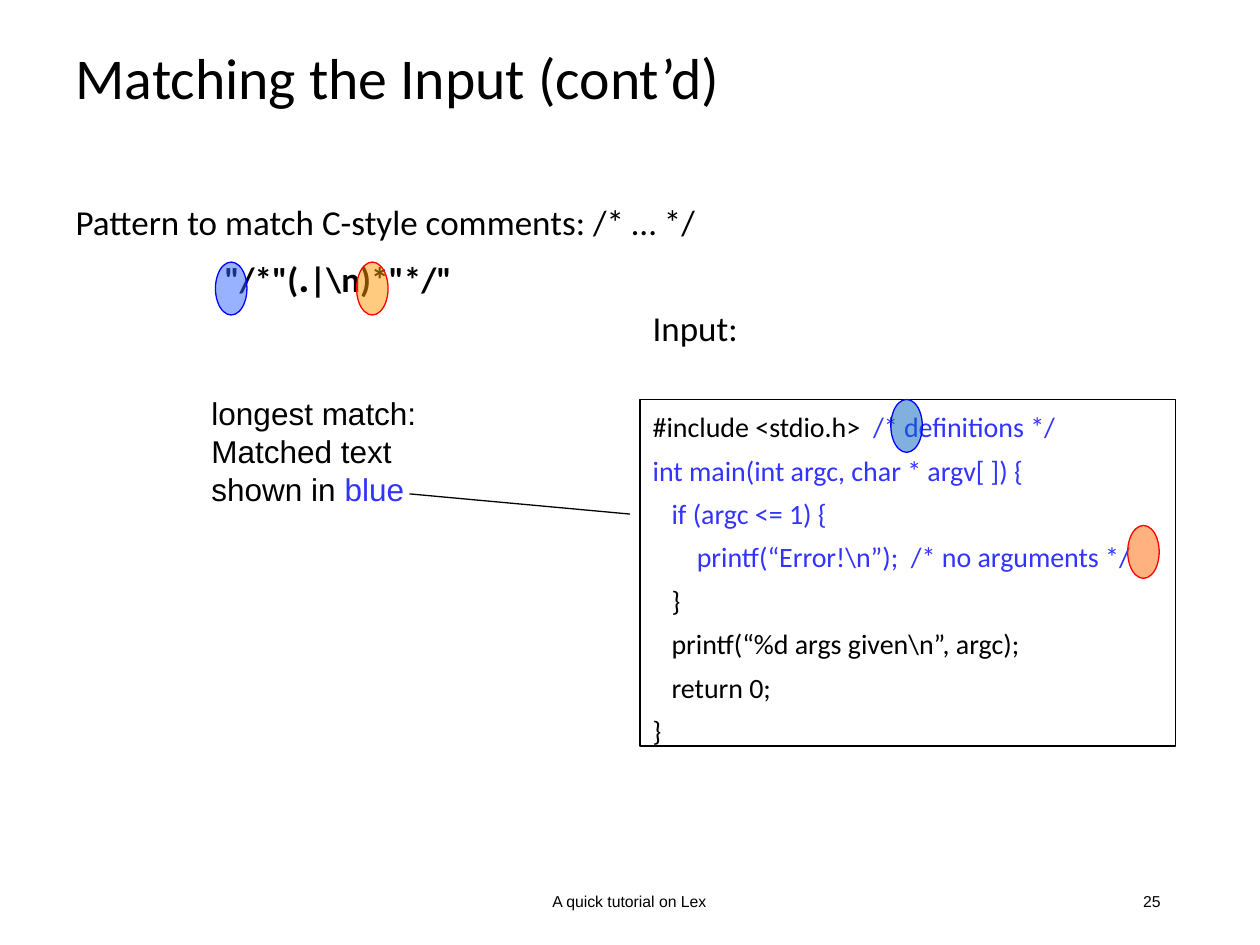
from lxml import etree
from pptx import Presentation
from pptx.dml.color import RGBColor
from pptx.enum import shapes, text
from pptx.oxml.ns import qn
from pptx.util import Inches, Pt

# Content: a line is a list of (text, style) runs
TITLE = "Matching the Input (cont’d)"
HEADING = [("Pattern to match C-style comments: /* … */", "lead")]
PATTERN = [('"/*"(', "regex"), (".", "dot"), ('|\\n)*"*/"', "regex")]
INPUT_LABEL = [("Input:", "lead")]
CODE = [
    [("#include <stdio.h>  ", "code"), ("/* definitions */", "match")],
    [("int main(int argc, char * argv[ ]) {", "match")],
    [("   if (argc <= 1) {", "match")],
    [("       printf(“Error!\\n”);  /* no arguments */", "match")],
    [("   }", "code")],
    [("   printf(“%d args given\\n”, argc);", "code")],
    [("   return 0;", "code")],
    [("}", "code")],
]
CAPTION = [
    [("longest match:", "caption")],
    [("Matched text shown in ", "caption"), ("blue", "caption_match")],
]
FOOTERS = [  # text, left, width, alignment
    ("A quick tutorial on Lex", 3.31, 3.37, text.PP_ALIGN.CENTER),
    ("25", 7.06, 2.25, text.PP_ALIGN.RIGHT),
]
MARKERS = [  # left, top, fill, outline
    (1.71, 2.08, "3366FF", "0000FF"),
    (2.83, 2.08, "FF9900", "FF0000"),
    (7.07, 3.17, "0563C1", "0000FF"),
    (8.95, 4.17, "FF6600", "FF0000"),
]

# Theme: font, size, colour, bold
BLACK, BLUE = "000000", "3333FF"
THEME = {
    "title": ("Calibri", 33, BLACK, False),
    "lead": ("Calibri", 20, BLACK, False),
    "regex": ("Calibri", 20, BLACK, True),
    "dot": ("Calibri", 24, BLACK, True),
    "code": ("Calibri", 16, BLACK, False),
    "match": ("Calibri", 16, BLUE, False),
    "caption": ("Arial", 18, BLACK, False),
    "caption_match": ("Arial", 18, BLUE, False),
    "footer": ("Arial", 9, BLACK, False),
}
LINE_WIDTH = Pt(0.75)
LINE_SPACING = 0.9
GAP, CODE_GAP = 7.5, 37


def place(shape, left, top, width, height):
    shape.left, shape.top = Inches(left), Inches(top)
    shape.width, shape.height = Inches(width), Inches(height)


def style_font(font, style):
    font.name, size, color, font.bold = THEME[style]
    font.size = Pt(size)
    font.color.rgb = RGBColor.from_string(color)


def write(frame, lines, gaps=None, spacing=None, indents=None,
          align=text.PP_ALIGN.LEFT, anchor=text.MSO_ANCHOR.TOP):
    """Fill a frame; gaps are points before a line, indents are (left, first)."""
    frame.word_wrap = True
    frame.auto_size = text.MSO_AUTO_SIZE.NONE
    frame.vertical_anchor = anchor
    for i, line in enumerate(lines):
        paragraph = frame.paragraphs[0] if i == 0 else frame.add_paragraph()
        paragraph.alignment = align
        paragraph.space_before = Pt(gaps[i] if gaps else 0)
        if spacing:
            paragraph.line_spacing = spacing
        if indents:
            left, first = indents[i]
            props = paragraph._p.get_or_add_pPr()
            props.set("marL", str(Inches(left)))
            props.set("indent", str(Inches(first)))
            etree.SubElement(props, qn("a:buNone"))
        style_font(paragraph.font, line[0][1])
        for words, style in line:
            run = paragraph.add_run()
            run.text = words
            if style != line[0][1]:
                style_font(run.font, style)


def outline(shape, color):
    shape.shadow.inherit = False
    shape.line.color.rgb = RGBColor.from_string(color)
    shape.line.width = LINE_WIDTH


prs = Presentation()
prs.slide_width, prs.slide_height = Inches(10), Inches(7.5)
slide = prs.slides.add_slide(prs.slide_layouts[3])
title, pattern_body, input_body = list(slide.placeholders)[:3]
for spare in list(slide.placeholders)[3:]:
    spare._element.getparent().remove(spare._element)

# Title, pattern and input listing
place(title, 0.5, 0.13, 8.25, 1.03)
write(title.text_frame, [[(TITLE, "title")]], spacing=LINE_SPACING,
      anchor=text.MSO_ANCHOR.MIDDLE)

HANGING = (0.19, -0.19)
place(pattern_body, 0.5, 1.58, 5.5, 0.92)
write(pattern_body.text_frame, [HEADING, PATTERN], [0, GAP], LINE_SPACING,
      [HANGING, (1.18, 0)])

place(input_body, 5.08, 2.42, 4.42, 4.29)
write(input_body.text_frame, [INPUT_LABEL] + CODE,
      [0, CODE_GAP] + [GAP] * (len(CODE) - 1), LINE_SPACING,
      [HANGING] * (len(CODE) + 1))

# Footer and page number
for words, left, width, align in FOOTERS:
    footer = slide.shapes.add_textbox(Inches(left), Inches(6.95), Inches(width), Inches(0.4))
    write(footer.text_frame, [[(words, "footer")]], align=align,
          anchor=text.MSO_ANCHOR.MIDDLE)

# Frame around the code
code_frame = slide.shapes.add_shape(
    shapes.MSO_SHAPE.RECTANGLE, Inches(5.08), Inches(3.17), Inches(4.25), Inches(2.75))
code_frame.fill.background()
outline(code_frame, BLACK)

# Half-transparent markers at the start and end of the match
for left, top, fill, edge in MARKERS:
    marker = slide.shapes.add_shape(
        shapes.MSO_SHAPE.OVAL, Inches(left), Inches(top), Inches(0.25), Inches(0.42))
    marker.fill.solid()
    marker.fill.fore_color.rgb = RGBColor.from_string(fill)
    color = marker._element.spPr.find(qn("a:solidFill")).find(qn("a:srgbClr"))
    etree.SubElement(color, qn("a:alpha"), val="50000")
    outline(marker, edge)

# Caption and its leader line
caption = slide.shapes.add_textbox(Inches(1.58), Inches(3.08), Inches(1.92), Inches(1))
write(caption.text_frame, CAPTION)

leader = slide.shapes.add_connector(
    shapes.MSO_CONNECTOR.STRAIGHT, Inches(3.25), Inches(3.92), Inches(5), Inches(4.08))
leader.line.color.rgb = RGBColor.from_string(BLACK)
leader.line.width = LINE_WIDTH
etree.SubElement(leader._element.spPr, qn("a:effectLst"))

prs.save("out.pptx")
